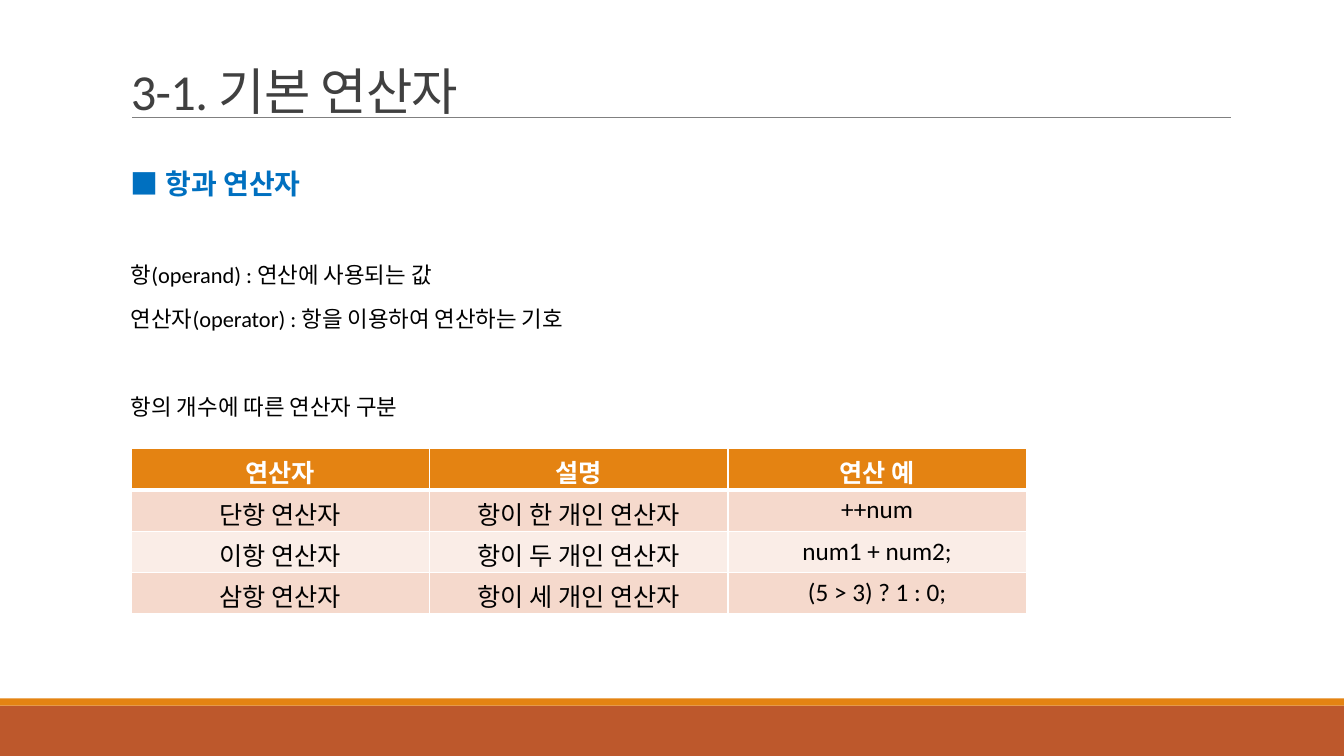
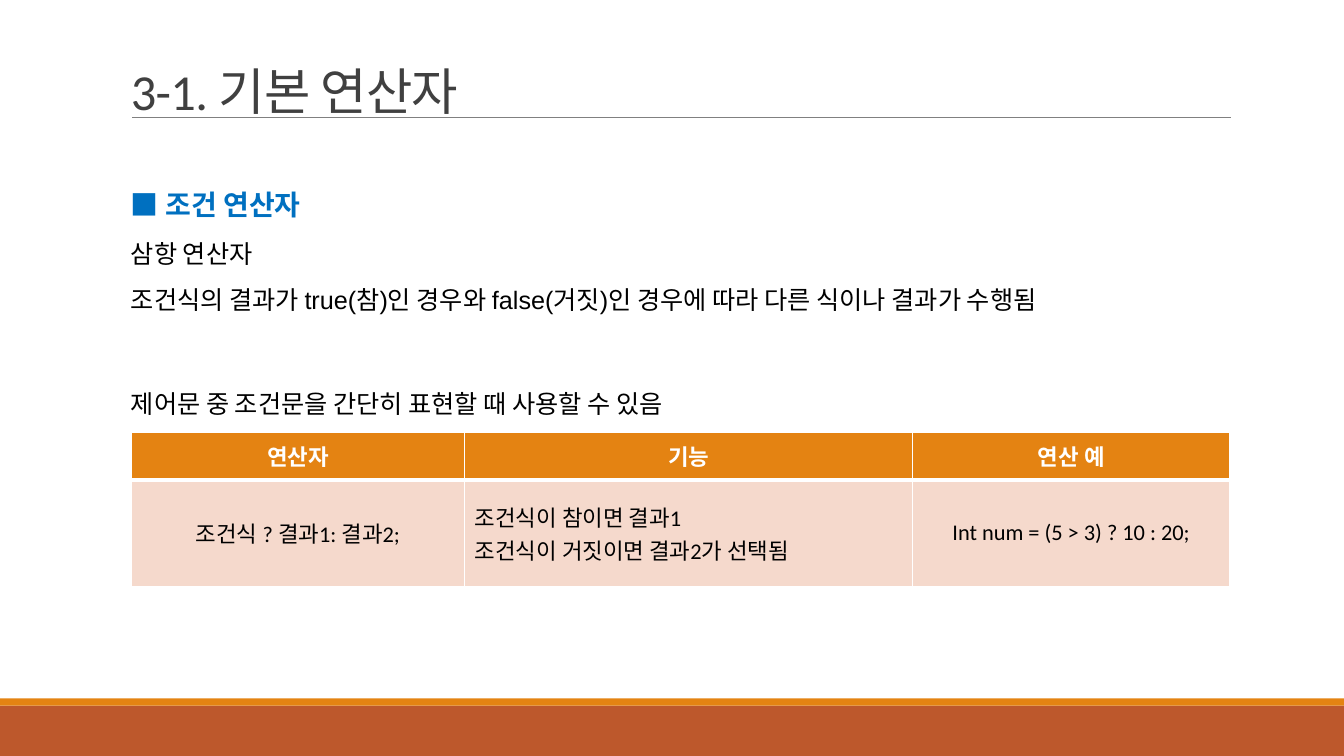
from pptx import Presentation
from pptx.dml.color import RGBColor
from pptx.enum import shapes, text
from pptx.oxml import parse_xml
from pptx.oxml.ns import nsdecls, qn
from pptx.util import Inches, Pt

WHITE = RGBColor(0xFF, 0xFF, 0xFF)
BLACK = RGBColor(0, 0, 0)
GRAY = RGBColor(0x80, 0x80, 0x80)
DARK = RGBColor(0x40, 0x40, 0x40)
BLUE = RGBColor(0x00, 0x70, 0xC0)
ORANGE = RGBColor(0xE4, 0x83, 0x12)
RUST = RGBColor(0xBD, 0x58, 0x2C)
TINTS = [RGBColor(0xF5, 0xD9, 0xCC), RGBColor(0xFA, 0xED, 0xE7)]
WIDTH, HEIGHT = 13.33, 7.5
CENTER = text.PP_ALIGN.CENTER
LEFT = text.PP_ALIGN.LEFT
TOP = text.MSO_ANCHOR.TOP
MIDDLE = text.MSO_ANCHOR.MIDDLE


def add_run(para, words, size, color, bold=False, font="Calibri"):
    run = para.add_run()
    run.text = words
    run.font.name = font
    run.font.size = Pt(size)
    run.font.bold = bold
    run.font.color.rgb = color
    return run


def next_para(frame, index):
    return frame.add_paragraph() if index else frame.paragraphs[0]


def add_frame(slide, box):
    frame = slide.shapes.add_textbox(*map(Inches, box)).text_frame
    frame.word_wrap = True
    return frame


def add_band(slide, top, height, color):
    band = slide.shapes.add_shape(shapes.MSO_SHAPE.RECTANGLE, 0, Inches(top),
                                  Inches(WIDTH), Inches(height))
    band.shadow.inherit = False
    band.fill.solid()
    band.fill.fore_color.rgb = color
    band.line.fill.background()


def add_title(slide, words, box):
    frame = add_frame(slide, box)
    frame.vertical_anchor = text.MSO_ANCHOR.BOTTOM
    para = frame.paragraphs[0]
    para.line_spacing = 0.85
    run = add_run(para, words, 36, DARK)
    run._r.get_or_add_rPr().set("spc", "-50")


def add_rule(slide, left, right, top):
    rule = slide.shapes.add_connector(shapes.MSO_CONNECTOR.STRAIGHT, Inches(left),
                                      Inches(top), Inches(right), Inches(top))
    rule.line.color.rgb = GRAY
    rule.line.width = Pt(0.5)
    rule._element.spPr.append(parse_xml(f"<a:effectLst {nsdecls('a')}/>"))


def start_slide(deck, title):
    """Add a slide with the shared bands, title and rule."""
    slide = deck.slides.add_slide(deck.slide_layouts[6])
    add_band(slide, 7, 0.5, RUST)
    add_band(slide, 6.93, 0.07, ORANGE)
    add_rule(slide, 1.31, 12.21, 1.16)
    add_title(slide, title, (1.2, 0.31, 5.47, 0.94))
    return slide


def add_body(slide, box, head, lines, size, font="Calibri"):
    """Add a blue heading and its lines, each given with its space before."""
    frame = add_frame(slide, box)
    frame.margin_right = 0
    rows = [(head, 0, 20, BLUE, True)]
    rows += [(words, gap, size, BLACK, False) for words, gap in lines]
    for index, (words, gap, points, color, bold) in enumerate(rows):
        para = next_para(frame, index)
        para.line_spacing = 0.9
        para.space_before = Pt(gap)
        para.space_after = Pt(2)
        add_run(para, words, points, color, bold, font)


def set_borders(cell, top, bottom):
    props = cell._tc.get_or_add_tcPr()
    for side, points in (("L", 1), ("R", 1), ("T", top), ("B", bottom)):
        props.append(parse_xml(
            f'<a:ln{side} {nsdecls("a")} w="{Pt(points)}"><a:solidFill>'
            f'<a:srgbClr val="{WHITE}"/></a:solidFill></a:ln{side}>'))


def fill_cell(cell, words, size, row, align, anchor):
    set_borders(cell, 3 if row == 1 else 1, 1 if row else 3)
    cell.fill.solid()
    cell.fill.fore_color.rgb = TINTS[(row - 1) % 2] if row else ORANGE
    cell.vertical_anchor = anchor
    for index, line in enumerate(words.split("\n")):
        para = next_para(cell.text_frame, index)
        para.alignment = align
        add_run(para, line, size, BLACK if row else WHITE, not row)


def add_grid(slide, left, top, widths, heights, rows, size, anchor):
    """Add a table; cells with several lines are set flush left."""
    table = slide.shapes.add_table(
        len(rows), len(widths), Inches(left), Inches(top),
        Inches(sum(widths)), Inches(sum(heights))).table
    for column, width in zip(table.columns, widths):
        column.width = Inches(width)
    for index, (height, row) in enumerate(zip(heights, rows)):
        table.rows[index].height = Inches(height)
        for col, words in enumerate(row):
            align = LEFT if "\n" in words else CENTER
            fill_cell(table.cell(index, col), words, size, index, align, anchor)


def build_terms(deck, title):
    slide = start_slide(deck, title)
    add_body(slide, (1.2, 1.64, 11, 2.7), "■ 항과 연산자", [
        ("항(operand) : 연산에 사용되는 값", 43.5),
        ("연산자(operator) : 항을 이용하여 연산하는 기호", 12),
        ("항의 개수에 따른 연산자 구분", 43.5)], 16)
    add_grid(slide, 1.3, 4.45, [2.96] * 3, [0.41] * 4, [
        ("연산자", "설명", "연산 예"),
        ("단항 연산자", "항이 한 개인 연산자", "++num"),
        ("이항 연산자", "항이 두 개인 연산자", "num1 + num2;"),
        ("삼항 연산자", "항이 세 개인 연산자", "(5 > 3) ? 1 : 0;")], 18, TOP)


def build_choice(deck, title):
    slide = start_slide(deck, title)
    add_body(slide, (1.2, 1.85, 11, 2.4), "■ 조건 연산자", [
        ("삼항 연산자", 12),
        ("조건식의 결과가 true(참)인 경우와 false(거짓)인 경우에 따라 "
         "다른 식이나 결과가 수행됨", 12),
        ("제어문 중 조건문을 간단히 표현할 때 사용할 수 있음", 52.5)], 18, "Arial")
    add_grid(slide, 1.3, 4.29, [3.31, 4.44, 3.15], [0.47, 1.06], [
        ("연산자", "기능", "연산 예"),
        ("조건식 ? 결과1: 결과2;",
         "조건식이 참이면 결과1\n조건식이 거짓이면 결과2가 선택됨",
         "Int num = (5 > 3) ? 10 : 20;")], 16, MIDDLE)


def main():
    deck = Presentation()
    deck.slide_width = Inches(WIDTH)
    deck.slide_height = Inches(HEIGHT)
    title = "3-1. 기본 연산자"
    build_terms(deck, title)
    build_choice(deck, title)
    deck.save("out.pptx")


if __name__ == "__main__":
    main()
